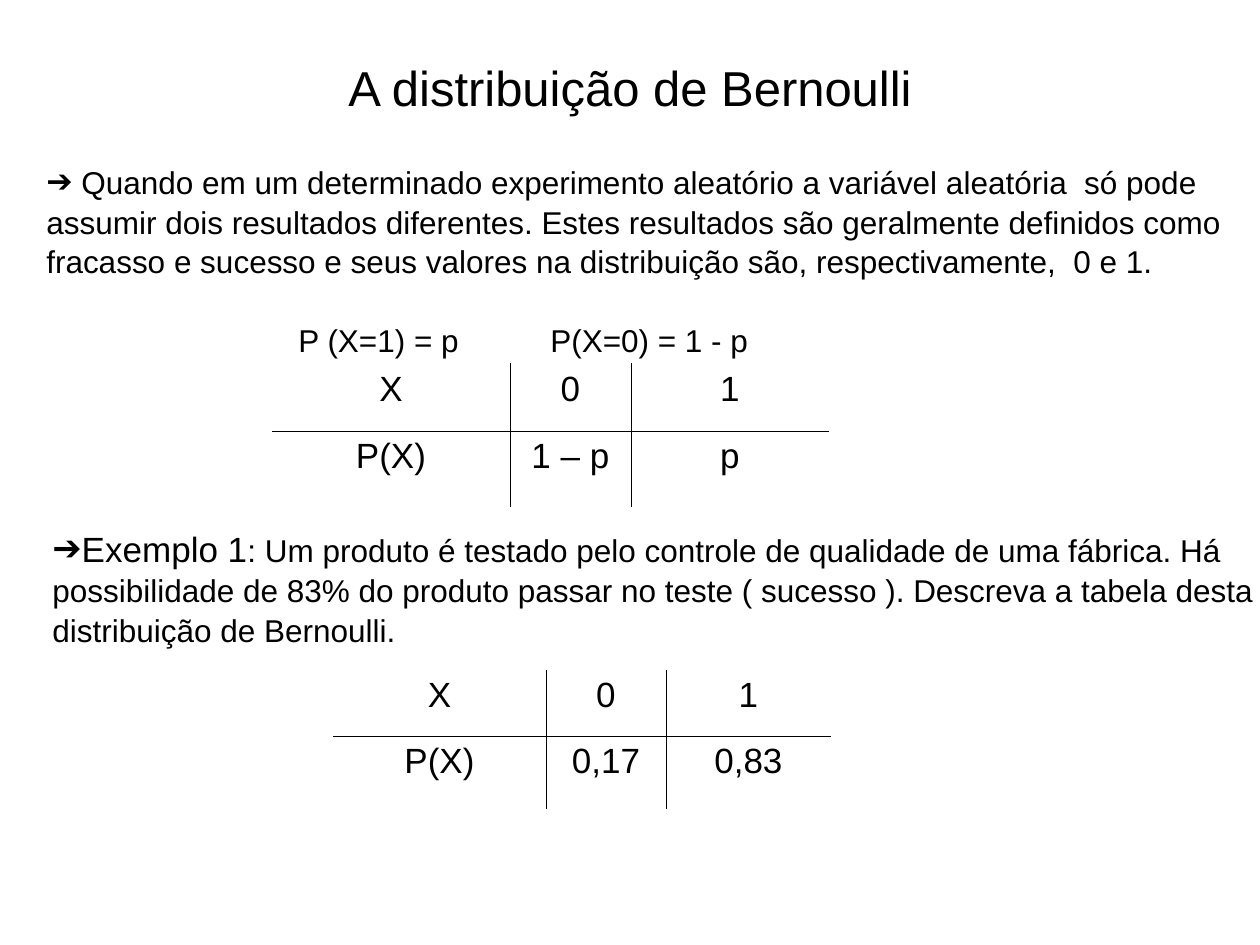
from dataclasses import dataclass

from lxml import etree
from pptx import Presentation
from pptx.dml.color import RGBColor
from pptx.enum.text import MSO_ANCHOR, PP_ALIGN
from pptx.oxml.ns import qn
from pptx.util import Emu, Pt

CENTER, JUSTIFY, LEFT = PP_ALIGN.CENTER, PP_ALIGN.JUSTIFY, PP_ALIGN.LEFT
MIDDLE = MSO_ANCHOR.MIDDLE
EMU_PER_PX = 914400 / 126


@dataclass(frozen=True)
class Theme:
    font: str = "Arial"
    ink: str = "000000"
    title: int = 28
    large: int = 20
    body: int = 18
    rule: float = 0.45
    line_spacing: float = 1.05


THEME = Theme()


def px(length):
    return Emu(round(length * EMU_PER_PX))


def format_paragraph(paragraph, size, alignment):
    paragraph.alignment = alignment
    paragraph.font.name = THEME.font
    paragraph.font.size = Pt(size)
    paragraph.font.color.rgb = RGBColor.from_string(THEME.ink)


presentation = Presentation()
presentation.slide_width, presentation.slide_height = px(1260), px(945)
slide = presentation.slides.add_slide(presentation.slide_layouts[5])

# Title
title = slide.shapes.title
title.left, title.top, title.width, title.height = px(63), px(38), px(1134), px(97)
title.text_frame.text = "A distribuição de Bernoulli"
title.text_frame.vertical_anchor = MIDDLE
format_paragraph(title.text_frame.paragraphs[0], THEME.title, CENTER)

# Definition and example: each line is a list of (text, size) runs
definition = [
    [(" Quando em um determinado experimento aleatório a variável aleatória  só pode", THEME.body)],
    [("assumir dois resultados diferentes. Estes resultados são geralmente definidos como", THEME.body)],
    [("fracasso e sucesso e seus valores na distribuição são, respectivamente,  0 e 1.", THEME.body)],
    [("\tP (X=1) = p\tP(X=0) = 1 - p", THEME.body)],
]
example = [
    [
        ("Exemplo 1", THEME.large),
        (": Um produto é testado pelo controle de qualidade de uma fábrica. Há", THEME.body),
    ],
    [("possibilidade de 83% do produto passar no teste ( sucesso ). Descreva a tabela desta", THEME.body)],
    [("distribuição de Bernoulli.", THEME.body)],
]
text_blocks = [
    ((34, 155, 1200, 239), JUSTIFY, definition),
    ((40, 519, 1235, 131), LEFT, example),
]
for box, alignment, lines in text_blocks:
    text_frame = slide.shapes.add_textbox(*map(px, box)).text_frame
    text_frame.word_wrap = True
    for index, line in enumerate(lines):
        paragraph = text_frame.paragraphs[0] if index == 0 else text_frame.add_paragraph()
        properties = paragraph._p.get_or_add_pPr()
        if index == 0:
            properties.set("marL", "0")
            properties.set("indent", "0")
            etree.SubElement(properties, qn("a:buFont"), typeface=THEME.font)
            etree.SubElement(properties, qn("a:buChar"), char="➔")
        if line[0][0].startswith("\t"):
            tab_list = etree.SubElement(properties, qn("a:tabLst"))
            for position in (252, 504):
                etree.SubElement(tab_list, qn("a:tab"), pos=str(px(position)), algn="l")
            paragraph.space_before = Pt(22)
        paragraph.line_spacing = THEME.line_spacing
        format_paragraph(paragraph, THEME.body, alignment)
        for text, size in line:
            run = paragraph.add_run()
            run.text = text
            if size != THEME.body:
                run.font.size = Pt(size)

# Probability tables, ruled only between their cells
probability_tables = [
    (272, 363, (238, 121, 198), (68, 76), (("X", "0", "1"), ("P(X)", "1 – p", "p"))),
    (333, 670, (213, 120, 165), (66, 73), (("X", "0", "1"), ("P(X)", "0,17", "0,83"))),
]
for left, top, widths, heights, values in probability_tables:
    table = slide.shapes.add_table(
        len(heights), len(widths), px(left), px(top), px(sum(widths)), px(sum(heights))
    ).table
    table.first_row = table.horz_banding = False
    for column, width in zip(table.columns, widths):
        column.width = px(width)
    for row, height in zip(table.rows, heights):
        row.height = px(height)
    for row_index, row_values in enumerate(values):
        for column_index, value in enumerate(row_values):
            cell = table.cell(row_index, column_index)
            cell.text = value
            format_paragraph(cell.text_frame.paragraphs[0], THEME.large, CENTER)
            inner_edges = {
                "a:lnL": column_index > 0,
                "a:lnR": column_index < len(widths) - 1,
                "a:lnT": row_index > 0,
                "a:lnB": row_index < len(heights) - 1,
            }
            cell_properties = cell._tc.get_or_add_tcPr()
            for edge, ruled in inner_edges.items():
                border = etree.SubElement(cell_properties, qn(edge), w=str(Pt(THEME.rule)))
                if ruled:
                    fill = etree.SubElement(border, qn("a:solidFill"))
                    etree.SubElement(fill, qn("a:srgbClr"), val=THEME.ink)
                else:
                    etree.SubElement(border, qn("a:noFill"))
            cell.fill.background()

presentation.save("out.pptx")
